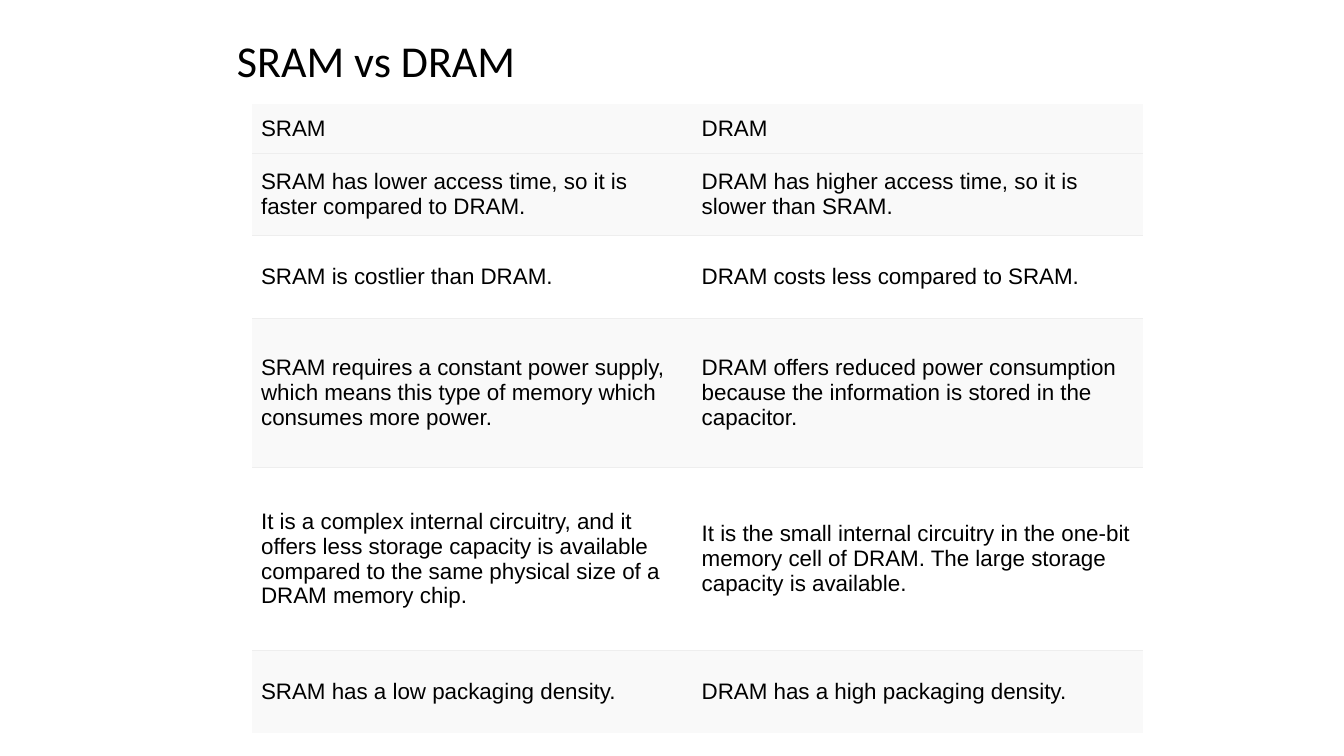
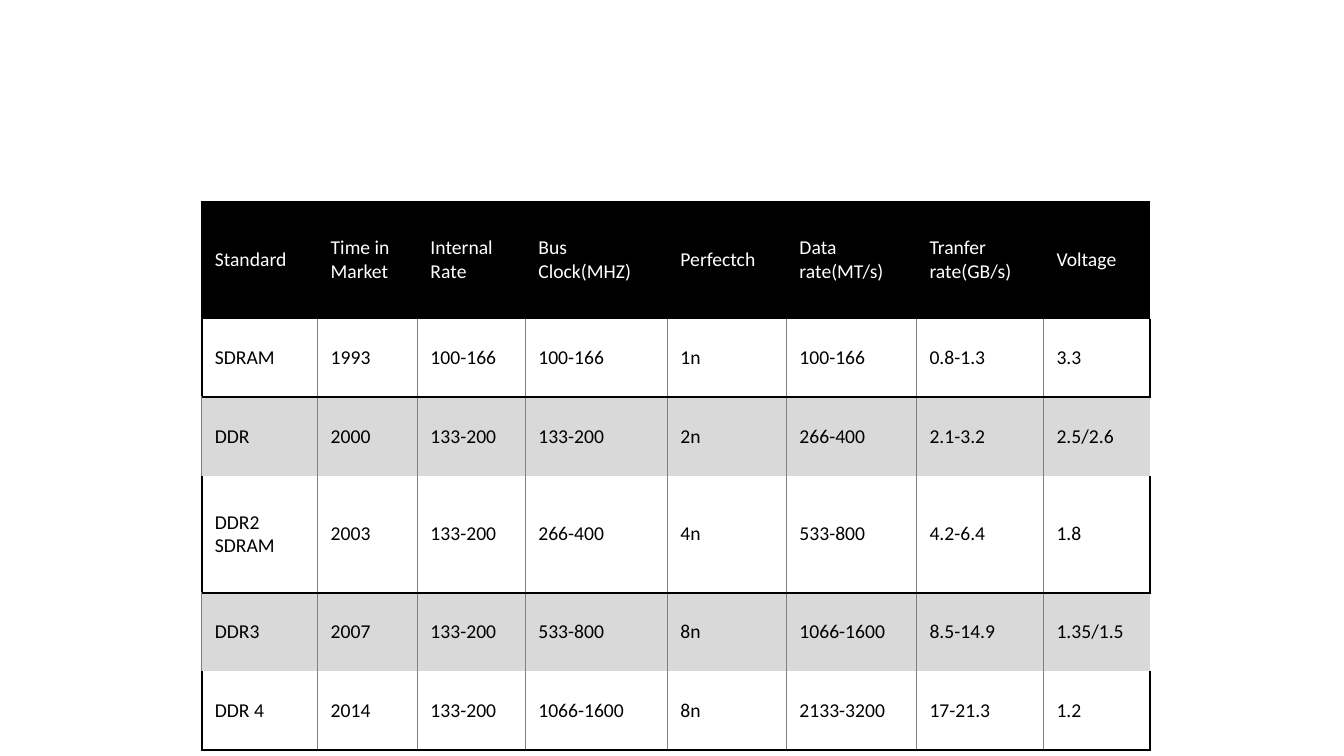
from dataclasses import dataclass
from lxml.etree import SubElement
from pptx import Presentation
from pptx.dml.color import RGBColor
from pptx.enum.text import MSO_ANCHOR, MSO_AUTO_SIZE, PP_ALIGN
from pptx.oxml.ns import qn
from pptx.util import Inches, Pt


@dataclass(frozen=True)
class Theme:
    black: str = "000000"
    white: str = "FFFFFF"
    pale_band: str = "F9F9F9"
    pale_rule: str = "EEEEEE"
    gray_band: str = "D9D9D9"
    gray_rule: str = "808080"
    title_font: str = "Calibri"
    comparison_font: str = "Arial"
    title_size: float = 31.5
    comparison_size: float = 16
    standards_size: float = 14
    thin: float = 0.5
    thick: float = 1.5


THEME = Theme()
NO_GRID_STYLE = "{2D5ABB26-0587-4C30-8999-92F81FD0307C}"

TITLE = "SRAM vs DRAM"
COMPARISON = [
    ("SRAM", "DRAM"),
    ("SRAM has lower access time, so it is faster compared to DRAM.",
     "DRAM has higher access time, so it is slower than SRAM."),
    ("SRAM is costlier than DRAM.", "DRAM costs less compared to SRAM."),
    ("SRAM requires a constant power supply, which means this type of memory which consumes more power.",
     "DRAM offers reduced power consumption because the information is stored in the capacitor."),
    ("It is a complex internal circuitry, and it offers less storage capacity is available "
     "compared to the same physical size of a DRAM memory chip.",
     "It is the small internal circuitry in the one-bit memory cell of DRAM. "
     "The large storage capacity is available."),
    ("SRAM has a low packaging density.", "DRAM has a high packaging density."),
]
STANDARDS = [
    ("Standard", "Time in Market", "Internal Rate", "Bus Clock(MHZ)", "Perfectch",
     "Data rate(MT/s)", "Tranfer rate(GB/s)", "Voltage"),
    ("SDRAM", "1993", "100-166", "100-166", "1n", "100-166", "0.8-1.3", "3.3"),
    ("DDR", "2000", "133-200", "133-200", "2n", "266-400", "2.1-3.2", "2.5/2.6"),
    ("DDR2 SDRAM", "2003", "133-200", "266-400", "4n", "533-800", "4.2-6.4", "1.8"),
    ("DDR3", "2007", "133-200", "533-800", "8n", "1066-1600", "8.5-14.9", "1.35/1.5"),
    ("DDR 4", "2014", "133-200", "1066-1600", "8n", "2133-3200", "17-21.3", "1.2"),
]


def write_text(frame, text, font, size, color=THEME.black, spacing=1.0):
    frame.word_wrap = True
    paragraph = frame.paragraphs[0]
    paragraph.text = text
    paragraph.alignment = PP_ALIGN.LEFT
    paragraph.line_spacing = spacing
    paragraph.font.name = font
    paragraph.font.size = Pt(size)
    paragraph.font.bold = False
    paragraph.font.color.rgb = RGBColor.from_string(color)


def set_borders(cell, borders):
    properties = cell._tc.get_or_add_tcPr()
    for position, side in enumerate("LRTB"):
        line = SubElement(properties, qn(f"a:ln{side}"))
        properties.insert(position, line)
        if side in borders:
            color, width = borders[side]
            line.set("w", str(Pt(width)))
            fill = SubElement(line, qn("a:solidFill"))
            SubElement(fill, qn("a:srgbClr")).set("val", color)
        else:
            SubElement(line, qn("a:noFill"))


def comparison_style(row, column):
    rule = (THEME.pale_rule, THEME.thin)
    borders = {}
    if row > 0:
        borders["T"] = rule
    if row < len(COMPARISON) - 1:
        borders["B"] = rule
    fill = THEME.pale_band if row == 0 or row % 2 else None
    return fill, THEME.black, borders


def standards_style(row, column):
    outline = (THEME.black, THEME.thick)
    rule = (THEME.gray_rule, THEME.thin)
    last = column == len(STANDARDS[0]) - 1
    if row == 0:
        return THEME.black, THEME.white, dict.fromkeys("LT" if last else "LTR", outline)
    if row % 2 == 0:
        borders = {"L": rule, "T": outline}
        if not last:
            borders["R"] = rule
        return THEME.gray_band, THEME.black, borders
    borders = {"L": rule if column else outline, "R": outline if last else rule, "B": outline}
    return None, THEME.black, borders


def add_styled_table(slide, content, origin, widths, heights, insets, style, font, size):
    left, top = origin
    frame = slide.shapes.add_table(
        len(heights), len(widths), Inches(left), Inches(top),
        Inches(sum(widths)), Inches(sum(heights)))
    table = frame.table
    table._tbl.tblPr.find(qn("a:tableStyleId")).text = NO_GRID_STYLE
    table.horz_banding = False
    for column, width in zip(table.columns, widths):
        column.width = Inches(width)
    for row, height in zip(table.rows, heights):
        row.height = Inches(height)
    for row_index, texts in enumerate(content):
        for column_index, text in enumerate(texts):
            cell = table.cell(row_index, column_index)
            fill, color, borders = style(row_index, column_index)
            cell.vertical_anchor = MSO_ANCHOR.MIDDLE
            (cell.margin_left, cell.margin_top,
             cell.margin_right, cell.margin_bottom) = map(Inches, insets)
            write_text(cell.text_frame, text, font, size, color=color)
            if fill:
                cell.fill.solid()
                cell.fill.fore_color.rgb = RGBColor.from_string(fill)
            else:
                cell.fill.background()
            set_borders(cell, borders)


def build_comparison(presentation):
    slide = presentation.slides.add_slide(presentation.slide_layouts.get_by_name("Title Only"))
    title = slide.shapes.title
    title.left, title.top, title.width, title.height = map(Inches, (2.25, 0.37, 8.73, 0.51))
    title.text_frame.auto_size = MSO_AUTO_SIZE.NONE
    title.text_frame.vertical_anchor = MSO_ANCHOR.MIDDLE
    write_text(title.text_frame, TITLE, THEME.title_font, THEME.title_size, spacing=0.9)
    add_styled_table(
        slide, COMPARISON, (2.5, 1.03), (4.37, 4.47), (0.49, 0.82, 0.82, 1.48, 1.81, 0.82),
        (0.09, 0.04, 0.09, 0.04), comparison_style, THEME.comparison_font, THEME.comparison_size)


def build_standards(presentation):
    slide = presentation.slides.add_slide(presentation.slide_layouts.get_by_name("Blank"))
    tall, short = 1.16, 0.78
    add_styled_table(
        slide, STANDARDS, (2, 2), (1.15, 0.99, 1.07, 1.41, 1.18, 1.29, 1.26, 1.06),
        (tall, short, short, tall, short, short),
        (0.13, 0.1, 0.07, 0.1), standards_style, THEME.title_font, THEME.standards_size)


def main():
    presentation = Presentation()
    presentation.slide_width = Inches(13.33)
    presentation.slide_height = Inches(7.5)
    build_comparison(presentation)
    build_standards(presentation)
    presentation.save("out.pptx")


if __name__ == "__main__":
    main()
